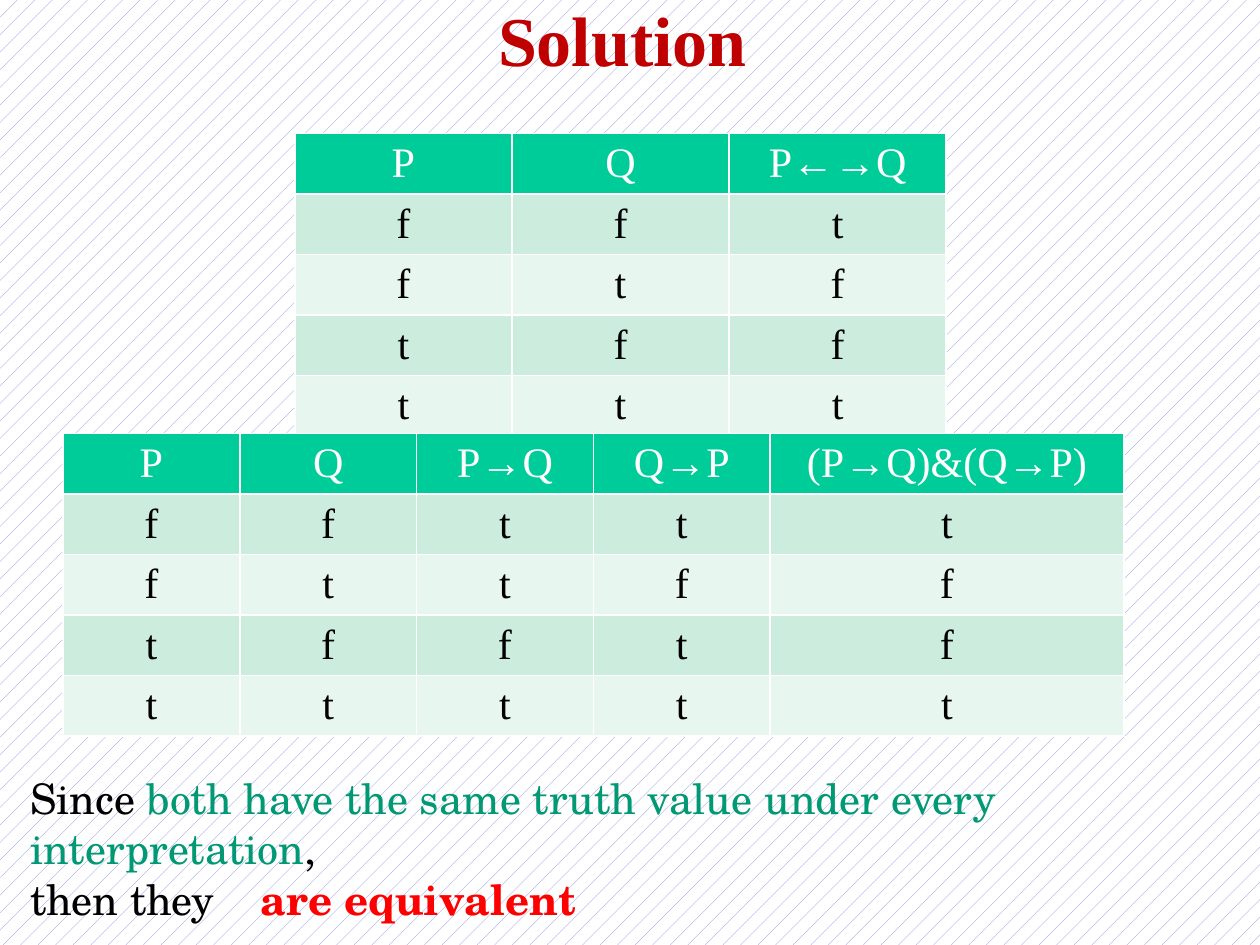
from lxml import etree
from pptx import Presentation
from pptx import util as u
from pptx.dml.color import RGBColor
from pptx.enum import dml, text
from pptx.oxml import ns

COLORS = {
    "paper": "FFFFFF", "hatch": "8585E0", "title": "C00000", "head": "00CC99",
    "odd": "CCECDE", "even": "E7F6EF", "white": "FFFFFF", "black": "000000",
    "green": "009973", "red": "FF0000",
}
SERIF, SCHOOL = "Times New Roman", "TeX Gyre Schola"

TABLES = [
    {"left": 2.34, "top": 1.06, "width": 5.17, "shares": [1, 1, 1],
     "rows": [["P", "Q", "P←→Q"], "fft", "ftf", "tff", "ttt"]},
    {"left": 0.5, "top": 3.44, "width": 8.42, "shares": [1, 1, 1, 1, 2],
     "rows": [["P", "Q", "P→Q", "Q→P", "(P→Q)&(Q→P)"],
              "ffttt", "fttff", "tfftf", "ttttt"]},
]
TITLE = [[("Solution", "title", True)]]
CONCLUSION = [
    [("Since ", "black", False),
     ("both have the same truth value under every interpretation", "green", False),
     (",", "black", False)],
    [("then they\t", "black", False), ("are equivalent", "red", True)],
]
ROW_HEIGHT, TAB_STOP = 0.47, 1.83
CELL = {"margin_top": u.Inches(0.04), "margin_bottom": u.Inches(0.04),
        "vertical_anchor": text.MSO_ANCHOR.MIDDLE}


def rgb(name):
    return RGBColor.from_string(COLORS[name])


def add_run(p, content, color, **fmt):
    r = p.add_run()
    r.text = content
    for name, value in fmt.items():
        setattr(r.font, name, value)
    r.font.color.rgb = rgb(color)


def add_text(s, box, paragraphs, font, size, align, **frame):
    sp = s.shapes.add_textbox(*map(u.Inches, box))
    tf = sp.text_frame
    for name, value in {"word_wrap": True, **frame}.items():
        setattr(tf, name, value)
    for i, runs in enumerate(paragraphs):
        p = tf.add_paragraph() if i else tf.paragraphs[0]
        p.alignment = align
        for content, color, bold in runs:
            add_run(p, content, color, name=font, size=u.Pt(size), bold=bold)
    return tf


def add_borders(cell):
    tcPr = cell._tc.get_or_add_tcPr()
    for i, side in enumerate("LRTB"):
        ln = etree.Element(ns.qn("a:ln" + side), w=str(u.Pt(1)))
        fill = etree.SubElement(ln, ns.qn("a:solidFill"))
        etree.SubElement(fill, ns.qn("a:srgbClr"), val=COLORS["white"])
        tcPr.insert(i, ln)


def add_truth_table(s, left, top, width, shares, rows):
    box = left, top, width, ROW_HEIGHT * len(rows)
    table = s.shapes.add_table(len(rows), len(shares), *map(u.Inches, box)).table
    for column, share in zip(table.columns, shares):
        column.width = u.Inches(width * share / sum(shares))
    for i, values in enumerate(rows):
        fill = "odd" if i % 2 else "even" if i else "head"
        for j, value in enumerate(values):
            cell = table.cell(i, j)
            for name, setting in CELL.items():
                setattr(cell, name, setting)
            cell.fill.solid()
            cell.fill.fore_color.rgb = rgb(fill)
            add_borders(cell)
            p = cell.text_frame.paragraphs[0]
            p.alignment = text.PP_ALIGN.CENTER
            add_run(p, value, "black" if i else "white",
                    name=SERIF, size=u.Pt(24), bold=False)


def main():
    prs = Presentation()
    prs.slide_width, prs.slide_height = u.Inches(10), u.Inches(7.5)
    s = prs.slides.add_slide(prs.slide_layouts[6])
    fill = s.background.fill
    fill.patterned()
    fill.pattern = dml.MSO_PATTERN.PERCENT_5
    fill.fore_color.rgb, fill.back_color.rgb = rgb("hatch"), rgb("paper")

    add_text(s, (0.69, 0, 8.5, 0.61), TITLE, SERIF, 40, text.PP_ALIGN.CENTER,
             vertical_anchor=text.MSO_ANCHOR.MIDDLE)
    for table in TABLES:
        add_truth_table(s, **table)
    tf = add_text(s, (0.14, 6.08, 9.86, 0.91), CONCLUSION, SCHOOL, 24,
                  text.PP_ALIGN.LEFT, auto_size=text.MSO_AUTO_SIZE.SHAPE_TO_FIT_TEXT)
    pPr = tf.paragraphs[1]._p.get_or_add_pPr()
    tabs = etree.SubElement(pPr, ns.qn("a:tabLst"))
    etree.SubElement(tabs, ns.qn("a:tab"), pos=str(u.Inches(TAB_STOP)), algn="l")
    prs.save("out.pptx")


if __name__ == "__main__":
    main()
